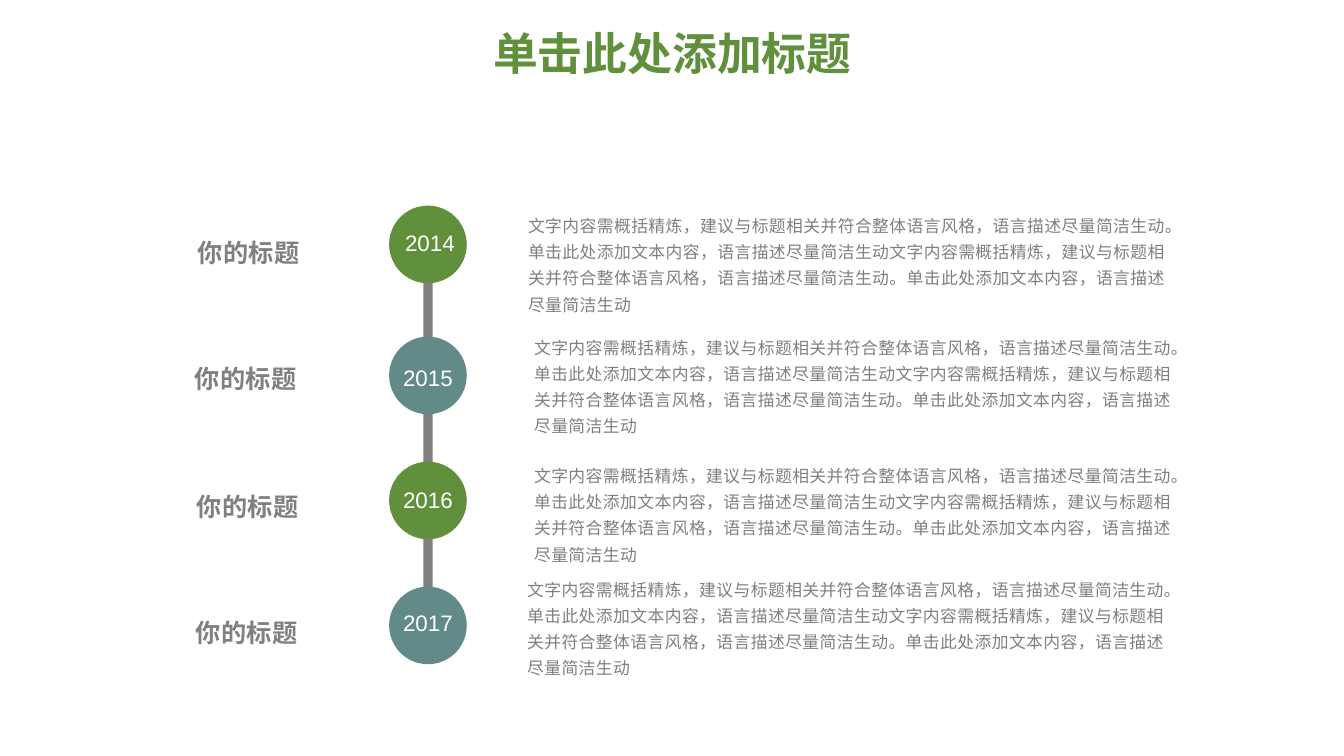
from pptx import Presentation
from pptx.dml.color import RGBColor
from pptx.enum.lang import MSO_LANGUAGE_ID
from pptx.enum.shapes import MSO_SHAPE
from pptx.enum.text import MSO_ANCHOR, PP_ALIGN
from pptx.util import Inches, Pt

WIDTH, HEIGHT = Inches(13.33), Inches(7.5)
CHINESE = MSO_LANGUAGE_ID.SIMPLIFIED_CHINESE
OVAL, RECTANGLE = MSO_SHAPE.OVAL, MSO_SHAPE.RECTANGLE
LEFT, CENTER = PP_ALIGN.LEFT, PP_ALIGN.CENTER
TOP, MIDDLE = MSO_ANCHOR.TOP, MSO_ANCHOR.MIDDLE
COLORS = {"green": "60903B", "teal": "628A88", "gray": "808080", "white": "FFFFFF"}

HEADING = "你的标题"
INTRO = "文字内容需概括精炼，建议与标题相关并符合整体语言风格，语言描述尽量简洁生动。"
PROMPT = "单击此处添加文本内容，语言描述尽量简洁生动"
BODY = (INTRO + PROMPT) * 2

# Year, colour, top of the row, then (left, drop from the top) of each text
MILESTONES = [
    ("2014", "green", 27.2, (29.4, 2.4), (13.65, 2.4), (38.55, -0.13)),
    ("2015", "teal", 44.53, (29.25, 2.93), (13.43, 1.73), (39, -1.33)),
    ("2016", "green", 61.07, (29.25, 2.53), (13.58, 2.13), (39, -0.93)),
    ("2017", "teal", 77.6, (29.25, 2.27), (13.5, 2.27), (38.48, -2.4)),
]


def to_slide(left, top, width, height):
    """Turn percentages of the slide's size into lengths."""
    return (int(WIDTH * left / 100), int(HEIGHT * top / 100),
            int(WIDTH * width / 100), int(HEIGHT * height / 100))


def add_filled(slide, kind, box, color):
    shape = slide.shapes.add_shape(kind, *to_slide(*box))
    shape.shadow.inherit = False
    shape.fill.solid()
    shape.fill.fore_color.rgb = RGBColor.from_string(COLORS[color])
    shape.line.fill.background()


def add_text(slide, box, text, size, color, bold=False, align=LEFT,
             anchor=TOP, line_spacing=1.0, tracking=0):
    """Add a one-paragraph text box; tracking is in hundredths of a point."""
    text_frame = slide.shapes.add_textbox(*to_slide(*box)).text_frame
    text_frame.word_wrap = True
    text_frame.vertical_anchor = anchor
    text_frame.text = text
    paragraph = text_frame.paragraphs[0]
    paragraph.alignment = align
    paragraph.line_spacing = line_spacing
    run = paragraph.runs[0]
    run.font.name = "Arial"
    run.font.size = Pt(size)
    run.font.bold = bold
    run.font.language_id = CHINESE
    run.font.color.rgb = RGBColor.from_string(COLORS[color])
    if tracking:
        run._r.get_or_add_rPr().set("spc", str(tracking))


def add_title(slide, box):
    add_text(slide, box, "单击此处添加标题", 32, "green", bold=True,
             align=CENTER, anchor=MIDDLE, line_spacing=0.9)


def add_milestone(slide, top, year, color, year_at, heading_at, body_at):
    def box(position, width, height):
        left, drop = position
        return left, top + drop, width, height

    add_filled(slide, OVAL, box((28.95, 0), 5.78, 10.27), color)
    add_text(slide, box(year_at, 6.3, 4.93), year, 16, "white")
    add_text(slide, box(heading_at, 9.72, 6.13), HEADING, 18, "gray", bold=True,
             align=CENTER, line_spacing=1.3, tracking=30)
    add_text(slide, box(body_at, 50.03, 18.8), BODY, 12, "gray",
             line_spacing=1.3, tracking=30)


def add_timeline(slide, rail):
    add_filled(slide, RECTANGLE, rail, "gray")
    for year, color, top, year_at, heading_at, body_at in MILESTONES:
        add_milestone(slide, top, year, color, year_at, heading_at, body_at)


def main():
    presentation = Presentation()
    presentation.slide_width, presentation.slide_height = WIDTH, HEIGHT
    slide = presentation.slides.add_slide(presentation.slide_layouts[6])
    add_timeline(slide, (31.5, 30.93, 0.7, 53.73))
    add_title(slide, (6.9, 3.47, 86.27, 8))
    presentation.save("out.pptx")


if __name__ == "__main__":
    main()
